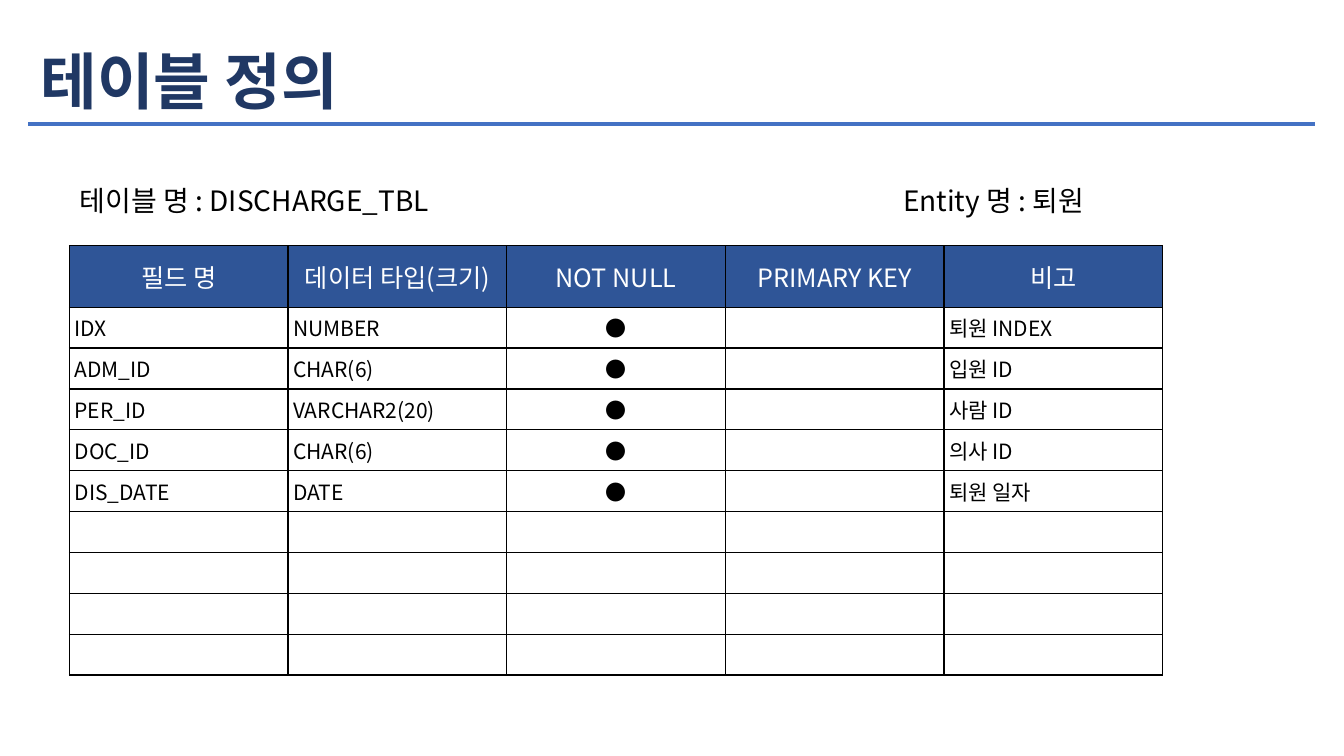
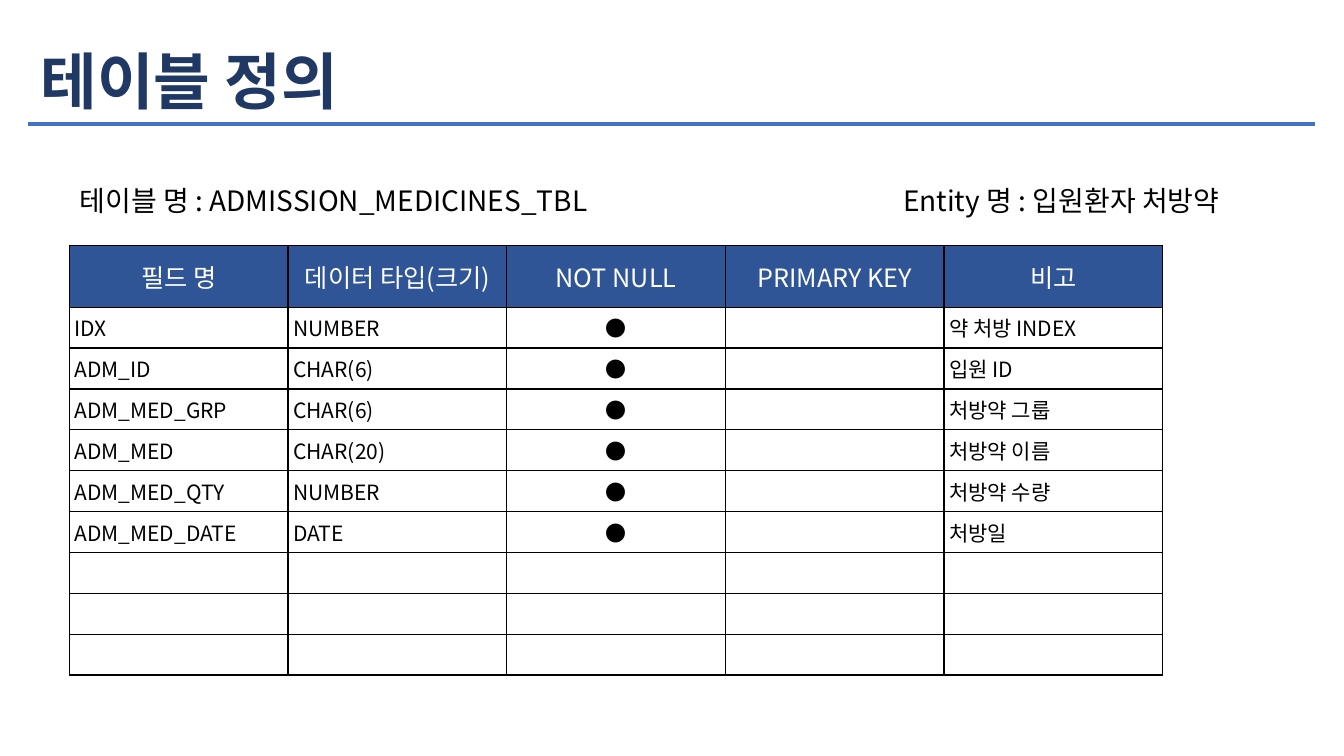
from lxml.etree import SubElement
from pptx import Presentation
from pptx.dml.color import RGBColor
from pptx.enum.shapes import MSO_SHAPE
from pptx.enum.text import MSO_ANCHOR, MSO_AUTO_SIZE, PP_ALIGN
from pptx.oxml.ns import qn
from pptx.util import Cm, Pt

TITLE = "테이블 정의"
HEADINGS = ("필드 명", "데이터 타입(크기)", "NOT NULL", "PRIMARY KEY", "비고")
REQUIRED = "●"
DEFINITIONS = [
    {
        "table": "DISCHARGE_TBL",
        "entity": "퇴원",
        "name_width": 11.13,
        "fields": [
            ("IDX", "NUMBER", REQUIRED, "", "퇴원 INDEX"),
            ("ADM_ID", "CHAR(6)", REQUIRED, "", "입원 ID"),
            ("PER_ID", "VARCHAR2(20)", REQUIRED, "", "사람 ID"),
            ("DOC_ID", "CHAR(6)", REQUIRED, "", "의사 ID"),
            ("DIS_DATE", "DATE", REQUIRED, "", "퇴원 일자"),
        ],
    },
    {
        "table": "ADMISSION_MEDICINES_TBL",
        "entity": "입원환자 처방약",
        "name_width": 19.28,
        "fields": [
            ("IDX", "NUMBER", REQUIRED, "", "약 처방 INDEX"),
            ("ADM_ID", "CHAR(6)", REQUIRED, "", "입원 ID"),
            ("ADM_MED_GRP", "CHAR(6)", REQUIRED, "", "처방약 그룹"),
            ("ADM_MED", "CHAR(20)", REQUIRED, "", "처방약 이름"),
            ("ADM_MED_QTY", "NUMBER", REQUIRED, "", "처방약 수량"),
            ("ADM_MED_DATE", "DATE", REQUIRED, "", "처방일"),
        ],
    },
]

NAVY = RGBColor(0x20, 0x38, 0x64)
HEADER_BLUE = RGBColor(0x2F, 0x55, 0x97)
RULE_BLUE = RGBColor(0x44, 0x72, 0xC4)
BLACK = RGBColor(0, 0, 0)
WHITE = RGBColor(0xFF, 0xFF, 0xFF)

FONT = "Noto Sans CJK KR"
TITLE_FONT = {"size": Pt(44), "bold": True, "color": NAVY}
LABEL_FONT = {"size": Pt(20), "color": BLACK}
HEADING_FONT = {"size": Pt(18), "bold": False, "color": WHITE}
FIELD_FONT = {"size": Pt(15), "bold": False, "color": BLACK}
INSETS = {f"margin_{side}": Cm(0.13) for side in ("left", "right", "top", "bottom")}
FRAME = INSETS | {
    "word_wrap": True,
    "auto_size": MSO_AUTO_SIZE.NONE,
    "vertical_anchor": MSO_ANCHOR.MIDDLE,
}

FIELD_ROWS = 9
COLUMN_WIDTH, HEADER_HEIGHT, FIELD_HEIGHT = 5.51, 1.55, 1.03
REQUIRED_COLUMN = HEADINGS.index("NOT NULL")


def apply(target, settings):
    """Set every named attribute on the target."""
    for attribute, value in settings.items():
        setattr(target, attribute, value)


def write(paragraph, words, style, alignment=PP_ALIGN.LEFT):
    """Write one styled run, or size the paragraph when it has no words."""
    paragraph.alignment = alignment
    if not words:
        paragraph._p.get_or_add_endParaRPr().set("sz", str(int(style["size"].pt * 100)))
        return
    run = paragraph.add_run()
    run.text = words
    run.font.name = FONT
    SubElement(run._r.get_or_add_rPr(), qn("a:ea"), typeface=FONT)
    apply(run.font, {key: value for key, value in style.items() if key != "color"})
    run.font.color.rgb = style["color"]


def fill_frame(shape, words, style):
    """Format the frame of a title or label and write its line."""
    apply(shape.text_frame, FRAME)
    paragraph = shape.text_frame.paragraphs[0]
    paragraph.line_spacing = 0.9
    write(paragraph, words, style)


def add_heading(slide):
    """Place the shared title and the rule under it."""
    title = slide.shapes.title
    apply(title, {"left": Cm(0.89), "top": Cm(0.81), "width": Cm(28.68), "height": Cm(2.64)})
    fill_frame(title, TITLE, TITLE_FONT)
    rule = slide.shapes.add_shape(
        MSO_SHAPE.RECTANGLE, Cm(0.69), Cm(3.07), Cm(32.46), Cm(0.13))
    rule.shadow.inherit = False
    rule.fill.solid()
    rule.fill.fore_color.rgb = RULE_BLUE
    rule.line.color.rgb = WHITE
    rule.line.width = Pt(1)


def add_label(slide, left, width, words):
    """Add a label above the table."""
    label = slide.shapes.add_textbox(Cm(left), Cm(4.45), Cm(width), Cm(1.3))
    fill_frame(label, words, LABEL_FONT)


def add_borders(cell):
    """Draw a thin black line on all four sides of a cell."""
    properties = cell._tc.get_or_add_tcPr()
    for side in ("lnL", "lnR", "lnT", "lnB"):
        border = SubElement(properties, qn(f"a:{side}"), w=str(Pt(1)))
        paint = SubElement(border, qn("a:solidFill"))
        SubElement(paint, qn("a:srgbClr"), val=str(BLACK))


def format_cell(cell, words, column, is_header):
    """Give a cell its borders, fill and text."""
    apply(cell, INSETS)
    add_borders(cell)
    if is_header:
        cell.fill.solid()
        cell.fill.fore_color.rgb = HEADER_BLUE
        cell.vertical_anchor = MSO_ANCHOR.MIDDLE
    else:
        cell.fill.background()
    centred = is_header or column == REQUIRED_COLUMN
    write(cell.text_frame.paragraphs[0], words,
          HEADING_FONT if is_header else FIELD_FONT,
          PP_ALIGN.CENTER if centred else PP_ALIGN.LEFT)


def add_field_table(slide, fields):
    """Add the field table, padded with blank rows to its fixed length."""
    blank = ("",) * len(HEADINGS)
    rows = [HEADINGS, *fields, *[blank] * (FIELD_ROWS - len(fields))]
    table = slide.shapes.add_table(
        len(rows), len(HEADINGS), Cm(1.75), Cm(6.19),
        Cm(COLUMN_WIDTH * len(HEADINGS)),
        Cm(HEADER_HEIGHT + FIELD_HEIGHT * FIELD_ROWS)).table
    table.horz_banding = False
    for column in table.columns:
        column.width = Cm(COLUMN_WIDTH)
    for row_index, row in enumerate(rows):
        is_header = row_index == 0
        table.rows[row_index].height = Cm(HEADER_HEIGHT if is_header else FIELD_HEIGHT)
        for column_index, words in enumerate(row):
            format_cell(table.cell(row_index, column_index), words, column_index, is_header)


def add_definition(presentation, definition):
    """Build the slide that defines one table."""
    slide = presentation.slides.add_slide(presentation.slide_layouts.get_by_name("Title Only"))
    add_field_table(slide, definition["fields"])
    add_label(slide, 1.88, definition["name_width"], f"테이블 명 : {definition['table']}")
    add_label(slide, 22.63, 11.13, f"Entity 명 : {definition['entity']}")
    add_heading(slide)


presentation = Presentation()
presentation.slide_width, presentation.slide_height = Cm(33.87), Cm(19.05)
for definition in DEFINITIONS:
    add_definition(presentation, definition)
presentation.save("out.pptx")
